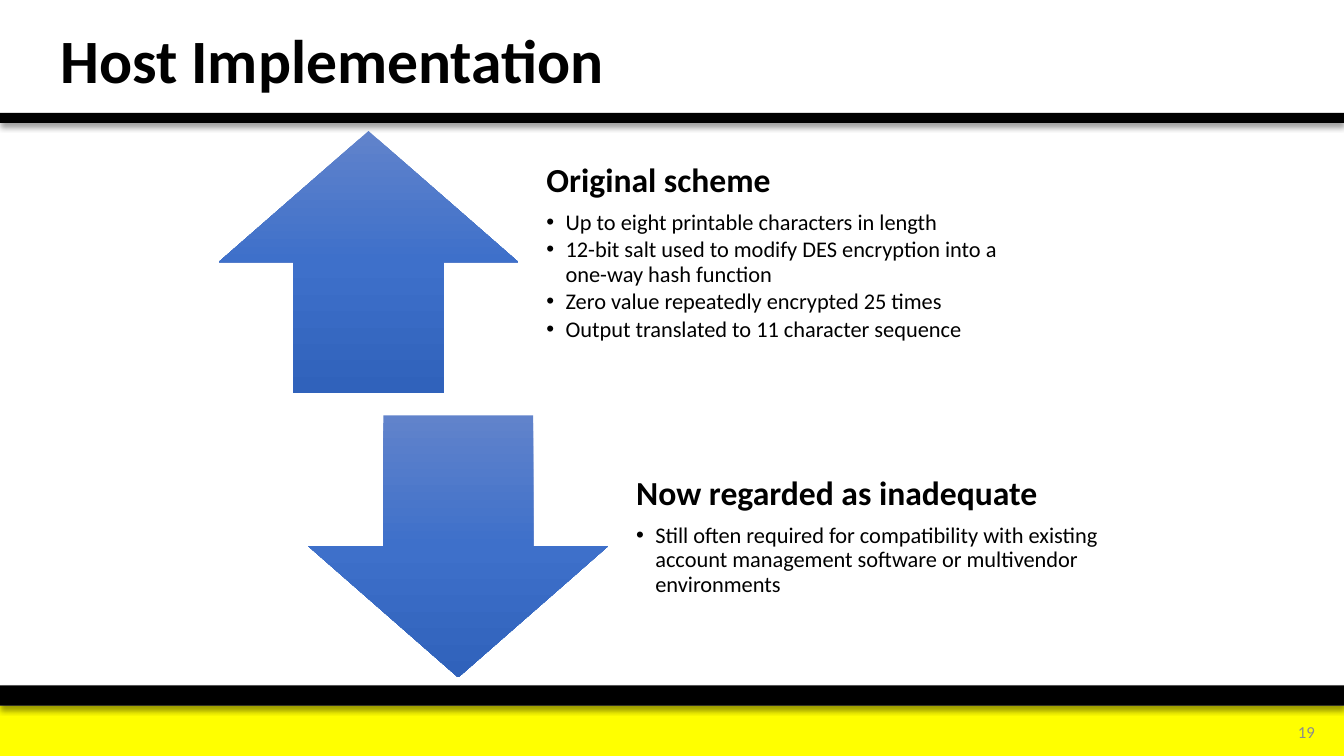
from copy import deepcopy

from lxml import etree
from pptx import Presentation
from pptx.dml.color import RGBColor
from pptx.enum.shapes import MSO_SHAPE
from pptx.enum.text import MSO_ANCHOR, MSO_AUTO_SIZE, PP_ALIGN
from pptx.oxml.ns import qn
from pptx.util import Inches, Pt

RECTANGLE = MSO_SHAPE.RECTANGLE
UP_ARROW, DOWN_ARROW = MSO_SHAPE.UP_ARROW, MSO_SHAPE.DOWN_ARROW
MIDDLE = MSO_ANCHOR.MIDDLE
LEFT, RIGHT = PP_ALIGN.LEFT, PP_ALIGN.RIGHT
NO_AUTOFIT = MSO_AUTO_SIZE.NONE

SLIDE_WIDTH, SLIDE_HEIGHT = 13.33, 7.5
FONT = "Calibri"
BLACK, YELLOW, GRAY = "000000", "FFFF00", "8C8C8C"
ARROW_GRADIENT = ((0, "6183CB"), (0.5, "3E70CA"), (1, "3062BB"))
TITLE_ONLY = 5

ARROW_WIDTH, TEXT_WIDTH, ROW_HEIGHT = 2.97, 5.04, 2.6
TEXT_GAP = 0.09
FIRST_LEFT, FIRST_TOP = 2.17, 1.3
STEP_RIGHT, STEP_DOWN = 0.89, 2.82
INDENT = 0.19

POINTS = (
    (UP_ARROW, "Original scheme", (
        "Up to eight printable characters in length",
        "12-bit salt used to modify DES encryption into a one-way hash function",
        "Zero value repeatedly encrypted 25 times",
        "Output translated to 11 character sequence",
    )),
    (DOWN_ARROW, "Now regarded as inadequate", (
        "Still often required for compatibility with existing account management "
        "software or multivendor environments",
    )),
)


def color(hex_string):
    """Turn a hex string into a colour."""
    return RGBColor.from_string(hex_string)


def inches(*lengths):
    """Turn numbers into lengths in inches."""
    return [Inches(length) for length in lengths]


def add_run(paragraph, text, size, hex_string=BLACK, bold=False):
    """Add one formatted run to a paragraph."""
    run = paragraph.add_run()
    run.text = text
    run.font.name = FONT
    run.font.size = Pt(size)
    run.font.bold = bold
    run.font.color.rgb = color(hex_string)


def add_plain_shape(slide, kind, box):
    """Add a preset shape without line or shadow."""
    shape = slide.shapes.add_shape(kind, *inches(*box))
    shape.shadow.inherit = False
    shape.line.fill.background()
    return shape


def add_bar(slide, top, height, hex_string, shadow=False):
    """Add a bar across the slide, with a soft shadow below if asked."""
    bar = add_plain_shape(slide, RECTANGLE, (0, top, SLIDE_WIDTH, height))
    bar.fill.solid()
    bar.fill.fore_color.rgb = color(hex_string)
    if shadow:
        effects = bar._element.spPr.find(qn("a:effectLst"))
        outer = etree.SubElement(
            effects, qn("a:outerShdw"), blurRad=str(Pt(4)), dist=str(Pt(3)),
            dir="5400000", algn="t", rotWithShape="0")
        tint = etree.SubElement(outer, qn("a:srgbClr"), val=BLACK)
        etree.SubElement(tint, qn("a:alpha"), val="40000")


def add_arrow(slide, kind, box):
    """Add a block arrow with a vertical three-stop gradient."""
    arrow = add_plain_shape(slide, kind, box)
    arrow.fill.gradient()
    arrow.fill.gradient_angle = 270
    stop_list = next(arrow._element.spPr.iter(qn("a:gsLst")))
    stop_list.append(deepcopy(stop_list[0]))
    for stop, (position, hex_string) in zip(arrow.fill.gradient_stops, ARROW_GRADIENT):
        stop.position = position
        stop.color.rgb = color(hex_string)


def add_bullet(paragraph):
    """Give a paragraph a hanging bullet."""
    properties = paragraph._p.get_or_add_pPr()
    properties.set("marL", str(Inches(INDENT)))
    properties.set("indent", str(-Inches(INDENT)))
    etree.SubElement(properties, qn("a:buFont"), typeface="Arial")
    etree.SubElement(properties, qn("a:buChar"), char="•")


def add_point_text(slide, box, heading, bullets):
    """Add a bold heading with bullets under it."""
    frame = slide.shapes.add_textbox(*inches(*box)).text_frame
    frame.word_wrap = True
    frame.vertical_anchor = MIDDLE
    frame.margin_left = frame.margin_right = frame.margin_bottom = Inches(INDENT)
    frame.margin_top = 0
    paragraph = frame.paragraphs[0]
    paragraph.line_spacing = 0.9
    paragraph.space_after = Pt(8.4)
    add_run(paragraph, heading, 24, bold=True)
    for bullet in bullets:
        paragraph = frame.add_paragraph()
        paragraph.line_spacing = 0.9
        paragraph.space_after = Pt(2.4)
        add_bullet(paragraph)
        add_run(paragraph, bullet, 16)


def add_point(slide, left, top, kind, heading, bullets):
    """Add an arrow with its text at the right."""
    add_arrow(slide, kind, (left, top, ARROW_WIDTH, ROW_HEIGHT))
    text_left = left + ARROW_WIDTH + TEXT_GAP
    add_point_text(slide, (text_left, top, TEXT_WIDTH, ROW_HEIGHT), heading, bullets)


def set_title(slide, box, text):
    """Place and format the title placeholder."""
    title = slide.shapes.title
    title.left, title.top, title.width, title.height = inches(*box)
    frame = title.text_frame
    frame.auto_size = NO_AUTOFIT
    frame.vertical_anchor = MIDDLE
    paragraph = frame.paragraphs[0]
    paragraph.alignment = LEFT
    paragraph.line_spacing = 0.9
    add_run(paragraph, text, 44, bold=True)


def add_slide_number(slide, box, text):
    """Add the page number at the lower right."""
    frame = slide.shapes.add_textbox(*inches(*box)).text_frame
    frame.word_wrap = True
    frame.vertical_anchor = MIDDLE
    frame.paragraphs[0].alignment = RIGHT
    add_run(frame.paragraphs[0], text, 12, GRAY)


def build_slide(presentation):
    """Build the slide from its bars, title and two points."""
    slide = presentation.slides.add_slide(presentation.slide_layouts[TITLE_ONLY])
    add_bar(slide, 7, 0.5, YELLOW)
    add_bar(slide, 6.8, 0.2, BLACK, shadow=True)
    add_bar(slide, 1.12, 0.1, BLACK, shadow=True)
    add_slide_number(slide, (12.38, 7.06, 0.76, 0.4), "19")
    set_title(slide, (0.5, 0.07, 9, 1.12), "Host Implementation")
    for index, point in enumerate(POINTS):
        add_point(slide, FIRST_LEFT + index * STEP_RIGHT,
                  FIRST_TOP + index * STEP_DOWN, *point)


def main():
    """Create and save the presentation."""
    presentation = Presentation()
    presentation.slide_width, presentation.slide_height = inches(SLIDE_WIDTH, SLIDE_HEIGHT)
    build_slide(presentation)
    presentation.save("out.pptx")


if __name__ == "__main__":
    main()
